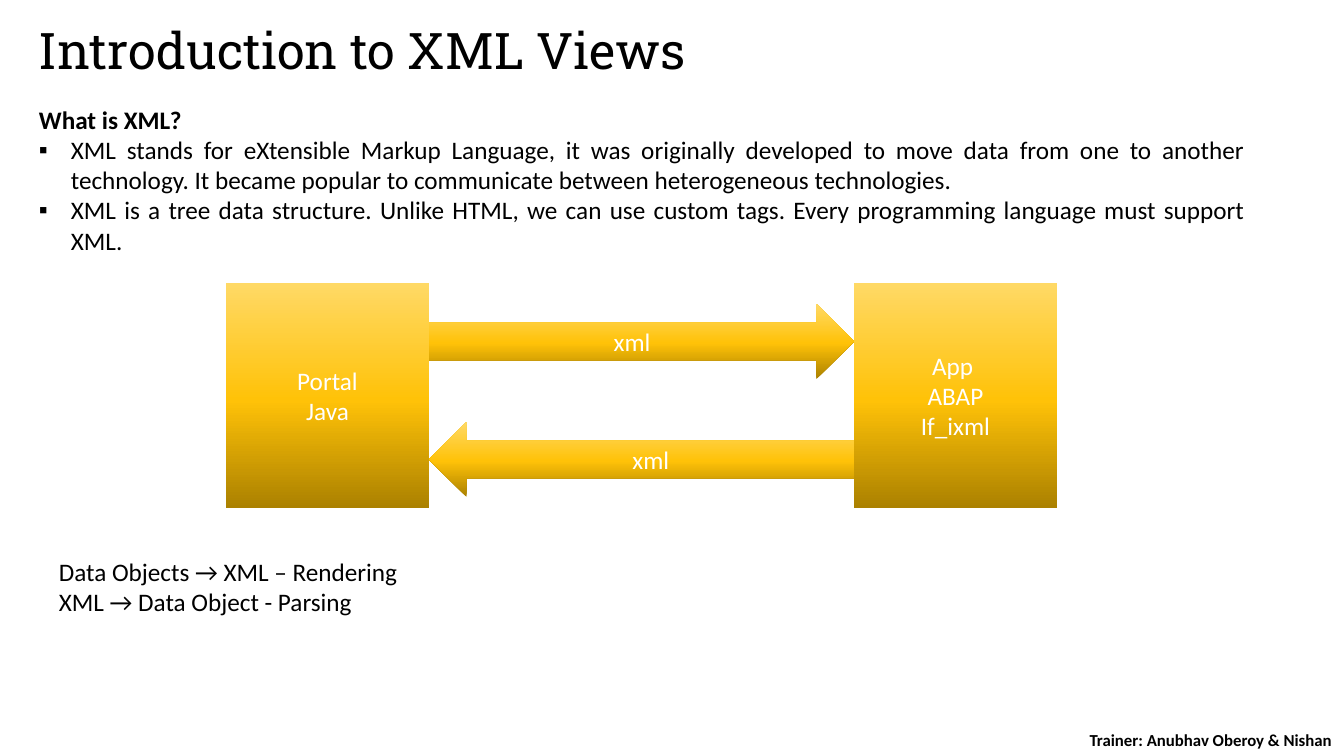
from copy import deepcopy

from lxml.etree import SubElement
from pptx import Presentation
from pptx.dml.color import RGBColor
from pptx.enum.shapes import MSO_SHAPE as Shape
from pptx.enum.text import MSO_ANCHOR as Anchor, PP_ALIGN as Align
from pptx.oxml.ns import qn
from pptx.util import Pt

EMU_PER_PX = 12192000 / 1344
GOLD = [(0, "AB8100"), (0.48, "FFC208"), (1, "FFD966")]


def px(length):
    return round(length * EMU_PER_PX)


def color(hex_code):
    return RGBColor.from_string(hex_code)


class SlideBuilder:
    """Holds the text style and the current page, and draws each kind of element."""

    style = {"name": "Calibri", "size": Pt(18), "bold": False}

    def __init__(self, deck):
        self.page = deck.slides.add_slide(deck.slide_layouts[6])
        self.diagram = self.page.shapes.add_group_shape()

    def add_words(self, para, words, ink="000000", **changes):
        span = para.add_run()
        span.text = words
        for name, value in {**self.style, **changes}.items():
            setattr(span.font, name, value)
        span.font.color.rgb = color(ink)

    def bullet(self, para, mark="▪", indent=32):
        props = para._p.get_or_add_pPr()
        props.set("marL", str(px(indent)))
        props.set("indent", str(-px(indent)))
        SubElement(props, qn("a:buFont"), typeface="Arial")
        SubElement(props, qn("a:buChar"), char=mark)

    def fill_frame(self, frame, lines, align, anchor, **changes):
        frame.word_wrap = True
        frame.vertical_anchor = anchor
        for index, words in enumerate(lines):
            para = frame.add_paragraph() if index else frame.paragraphs[0]
            para.alignment = align
            self.add_words(para, words, **changes)
        return frame

    def text(self, place, lines, align=Align.LEFT, anchor=Anchor.TOP, **changes):
        box = self.page.shapes.add_textbox(*map(px, place))
        return self.fill_frame(box.text_frame, lines, align, anchor, **changes)

    def gold_shape(self, kind, place, lines):
        shape = self.diagram.shapes.add_shape(kind, *map(px, place))
        shape.shadow.inherit = False
        shape.line.fill.background()
        shape.fill.gradient()
        shape.fill.gradient_angle = 90
        stop_list = shape._element.spPr.find(f".//{qn('a:gsLst')}")
        stop_list.append(deepcopy(stop_list[0]))
        for stop, (position, hex_code) in zip(shape.fill.gradient_stops, GOLD):
            stop.position = position
            stop.color.rgb = color(hex_code)
        self.fill_frame(shape.text_frame, lines, Align.CENTER, Anchor.MIDDLE, ink="FFFFFF")


def main():
    deck = Presentation()
    deck.slide_width, deck.slide_height = px(1344), px(756)
    slide = SlideBuilder(deck)

    title = slide.text((29, 21, 1226, 79), ["Introduction to XML Views"],
                       name="Roboto Slab", size=Pt(36))
    title.paragraphs[0].line_spacing = 0.9

    intro = slide.text((29, 99, 1226, 194), ["What is XML?"], Align.JUSTIFY, bold=True)
    for words in (
        "XML stands for eXtensible Markup Language, it was originally developed to move data "
        "from one to another technology. It became popular to communicate between "
        "heterogeneous technologies.",
        "XML is a tree data structure. Unlike HTML, we can use custom tags. Every programming "
        "language must support XML.",
    ):
        para = intro.add_paragraph()
        para.alignment = Align.JUSTIFY
        slide.bullet(para)
        slide.add_words(para, words)

    for left, lines in ((226, ["Portal", "Java"]), (854, ["App ", "ABAP", "If_ixml"])):
        slide.gold_shape(Shape.RECTANGLE, (left, 283, 203, 225), lines)
    for kind, top in ((Shape.RIGHT_ARROW, 304), (Shape.LEFT_ARROW, 422)):
        slide.gold_shape(kind, (429, top, 425, 75), ["xml"])

    slide.text((49, 551, 671, 72),
               ["Data Objects → XML – Rendering", "XML → Data Object - Parsing"])
    slide.text((1054, 724, 288, 31), ["Trainer: Anubhav Oberoy & Nishan"],
               Align.RIGHT, Anchor.MIDDLE, size=Pt(12), bold=True)
    deck.save("out.pptx")


if __name__ == "__main__":
    main()
